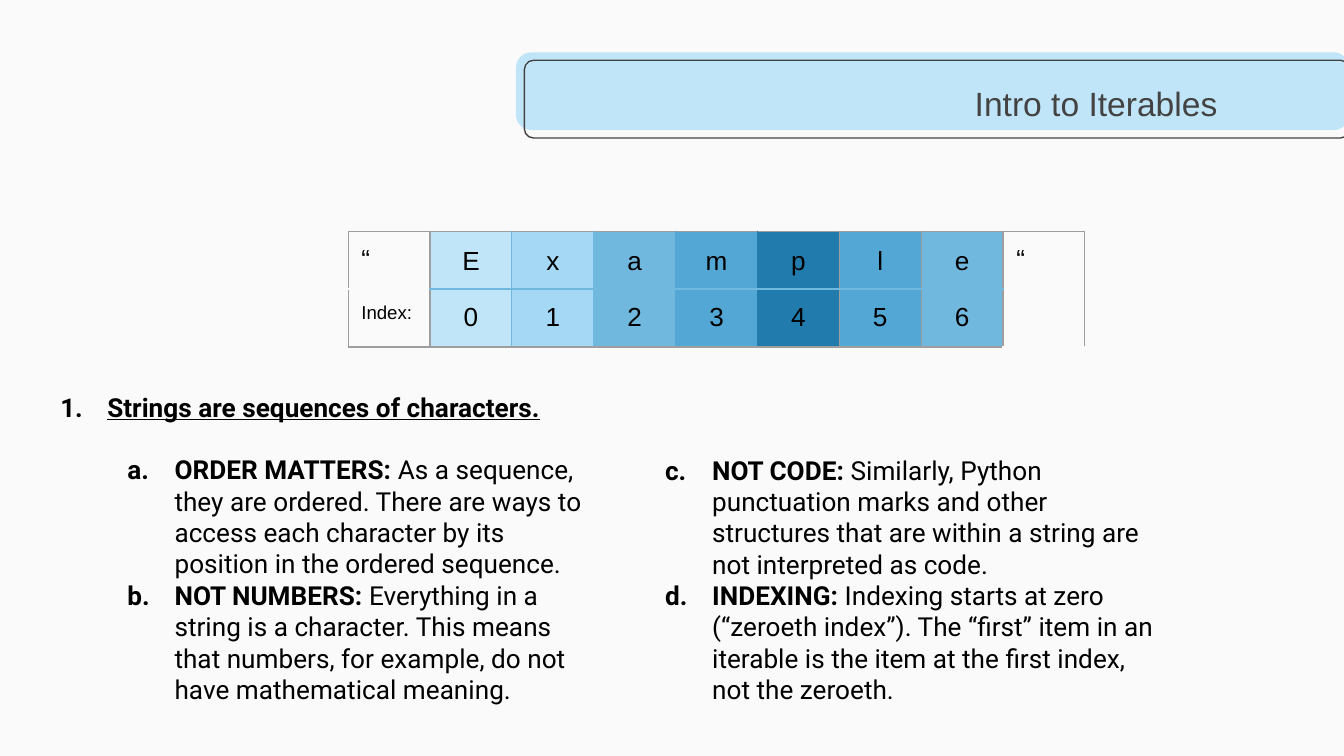
"""Build a slide that introduces strings as iterables."""
from dataclasses import dataclass

from lxml import etree
from pptx import Presentation
from pptx import util as u
from pptx.dml import color
from pptx.enum import shapes, text
from pptx.oxml import ns

PAPER, INK, SLATE, GREY = "FAFAFA", "000000", "434343", "9E9E9E"
PALE, LIGHT, MID, STRONG, DEEP = "C1E5F8", "A4D8F4", "71B8DF", "53A7D5", "217BAC"
INSET = u.Cm(0.25)


@dataclass
class Bar:
    left: float
    top: float
    width: float
    rounding: float
    fill: str = ""
    line: str = ""


@dataclass
class Letter:
    character: str
    fill: str
    right_edge: str


@dataclass
class Item:
    heading: str
    body: str = ""
    level: int = 1
    numbering: str = "alphaLcPeriod"
    start: int = 1
    space_before: float = 0


BARS = [
    Bar(9.75, 0.99, 15.75, 0.2, fill=PALE),
    Bar(9.91, 1.14, 15.6, 0.12, line=SLATE),
]
LETTERS = [
    Letter("E", PALE, MID),
    Letter("x", LIGHT, MID),
    Letter("a", MID, STRONG),
    Letter("m", STRONG, DEEP),
    Letter("p", DEEP, GREY),
    Letter("l", STRONG, GREY),
    Letter("e", MID, GREY),
]
LEFT_ITEMS = [
    Item("Strings are sequences of characters.", level=0, numbering="arabicPeriod"),
    Item("ORDER MATTERS: ", "As a sequence, they are ordered. There are ways to access "
         "each character by its position in the ordered sequence.", space_before=16.8),
    Item("NOT NUMBERS: ", "Everything in a string is a character. This means that "
         "numbers, for example, do not have mathematical meaning."),
]
RIGHT_ITEMS = [
    Item("NOT CODE: ", "Similarly, Python punctuation marks and other structures that "
         "are within a string are not interpreted as code.", start=3),
    Item("INDEXING: ", "Indexing starts at zero (“zeroeth index”). The “first” item in "
         "an iterable is the item at the first index, not the zeroeth.", start=3),
]


def paint(target, value: str) -> None:
    """Give a fill a solid colour, or none when the value is empty."""
    if value:
        target.solid()
        target.fore_color.rgb = color.RGBColor.from_string(value)
    else:
        target.background()


def style(span, size: float, value: str, name: str = "Arial", bold: bool = False) -> None:
    """Set the font of one run."""
    span.font.size, span.font.name, span.font.bold = u.Pt(size), name, bold
    paint(span.font.fill, value)


def add_bar(page, bar: Bar) -> None:
    """Draw one rounded bar behind the title."""
    box = page.shapes.add_shape(
        shapes.MSO_SHAPE.ROUNDED_RECTANGLE,
        u.Cm(bar.left), u.Cm(bar.top), u.Cm(bar.width), u.Cm(1.47))
    box.adjustments[0] = bar.rounding
    box.shadow.inherit = False
    paint(box.fill, bar.fill)
    paint(box.line.fill, bar.line)
    if bar.line:
        box.line.width = u.Pt(0.75)


def add_text_box(page, left: float, top: float, width: float, height: float):
    """Add a wrapping text box and return its text frame."""
    box = page.shapes.add_textbox(u.Cm(left), u.Cm(top), u.Cm(width), u.Cm(height))
    frame = box.text_frame
    frame.word_wrap = True
    frame.margin_left = frame.margin_right = INSET
    frame.margin_top = frame.margin_bottom = INSET
    return frame


def add_title(page, title: str) -> None:
    """Write the right-aligned title."""
    frame = add_text_box(page, 14.4, 1.27, 8.86, 1.35)
    frame.vertical_anchor = text.MSO_ANCHOR.MIDDLE
    frame.text = title
    para = frame.paragraphs[0]
    para.alignment = text.PP_ALIGN.RIGHT
    style(para.runs[0], 18, SLATE)


def number(para, item: Item) -> None:
    """Give a paragraph its hanging indent and automatic number."""
    props = para._p.get_or_add_pPr()
    props.set("marL", str(u.Cm(1.27 * (item.level + 1))))
    props.set("indent", str(-u.Cm(0.89)))
    tint = etree.SubElement(props, ns.qn("a:buClr"))
    etree.SubElement(tint, ns.qn("a:srgbClr"), val=INK)
    etree.SubElement(props, ns.qn("a:buFont"), typeface="Roboto")
    etree.SubElement(props, ns.qn("a:buAutoNum"),
                     type=item.numbering, startAt=str(item.start))


def add_list(frame, items: list[Item]) -> None:
    """Write numbered items with bold headings."""
    frame.auto_size = text.MSO_AUTO_SIZE.SHAPE_TO_FIT_TEXT
    for position, item in enumerate(items):
        para = frame.add_paragraph() if position else frame.paragraphs[0]
        para.level = item.level
        para.space_before = u.Pt(item.space_before)
        number(para, item)
        para.text = item.heading
        style(para.runs[0], 14, INK, "Roboto", bold=True)
        para.runs[0].font.underline = item.level == 0
        if item.body:
            span = para.add_run()
            span.text = item.body
            style(span, 14, INK, "Roboto")


def add_borders(cell, left: str, right: str, top: str, bottom: str) -> None:
    """Draw the four borders of a cell."""
    props = cell._tc.get_or_add_tcPr()
    for side, value in zip("LRTB", (left, right, top, bottom)):
        line = etree.SubElement(props, ns.qn(f"a:ln{side}"), w=str(u.Pt(0.75)))
        fill = etree.SubElement(line, ns.qn("a:solidFill"))
        etree.SubElement(fill, ns.qn("a:srgbClr"), val=value)


def fill_cell(cell, words: str, size: float = 14, fill: str = "", anchor=None) -> None:
    """Write one cell, centred when it is filled."""
    cell.margin_left = cell.margin_right = INSET
    cell.margin_top = cell.margin_bottom = INSET
    cell.vertical_anchor = anchor or text.MSO_ANCHOR.TOP
    paint(cell.fill, fill)
    cell.text_frame.text = words
    para = cell.text_frame.paragraphs[0]
    para.alignment = text.PP_ALIGN.CENTER if fill else text.PP_ALIGN.LEFT
    for span in para.runs:
        style(span, size, INK)


def add_index_table(page, letters: list[Letter]) -> None:
    """Draw the letters of the word above their indexes."""
    count = len(letters) + 2
    table = page.shapes.add_table(
        2, count, u.Cm(6.58), u.Cm(4.37), u.Cm(1.547 * count), u.Cm(2.18)).table
    table.first_row = table.horz_banding = False
    edges = [GREY, GREY, *(letter.right_edge for letter in letters), GREY]
    middles = [PAPER, *[MID] * len(letters), PAPER]
    for column, middle in enumerate(middles):
        sides = edges[column], edges[column + 1]
        add_borders(table.cell(0, column), *sides, GREY, middle)
        add_borders(table.cell(1, column), *sides, middle, GREY)
    fill_cell(table.cell(0, 0), "“")
    fill_cell(table.cell(1, 0), "Index:", size=10)
    for index, letter in enumerate(letters):
        fill_cell(table.cell(0, index + 1), letter.character, fill=letter.fill,
                  anchor=text.MSO_ANCHOR.BOTTOM)
        fill_cell(table.cell(1, index + 1), str(index), fill=letter.fill)
    table.cell(0, count - 1).merge(table.cell(1, count - 1))
    fill_cell(table.cell(0, count - 1), "“")


def main() -> None:
    """Build and save the deck."""
    deck = Presentation()
    deck.slide_width, deck.slide_height = u.Cm(25.4), u.Cm(14.29)
    page = deck.slides.add_slide(deck.slide_layouts[6])
    paint(page.background.fill, PAPER)
    for bar in BARS:
        add_bar(page, bar)
    add_list(add_text_box(page, 0.51, 7.14, 11.1, 6.5), LEFT_ITEMS)
    add_index_table(page, LETTERS)
    add_title(page, "Intro to Iterables")
    add_list(add_text_box(page, 10.67, 8.33, 11.48, 5.3), RIGHT_ITEMS)
    deck.save("out.pptx")


if __name__ == "__main__":
    main()
